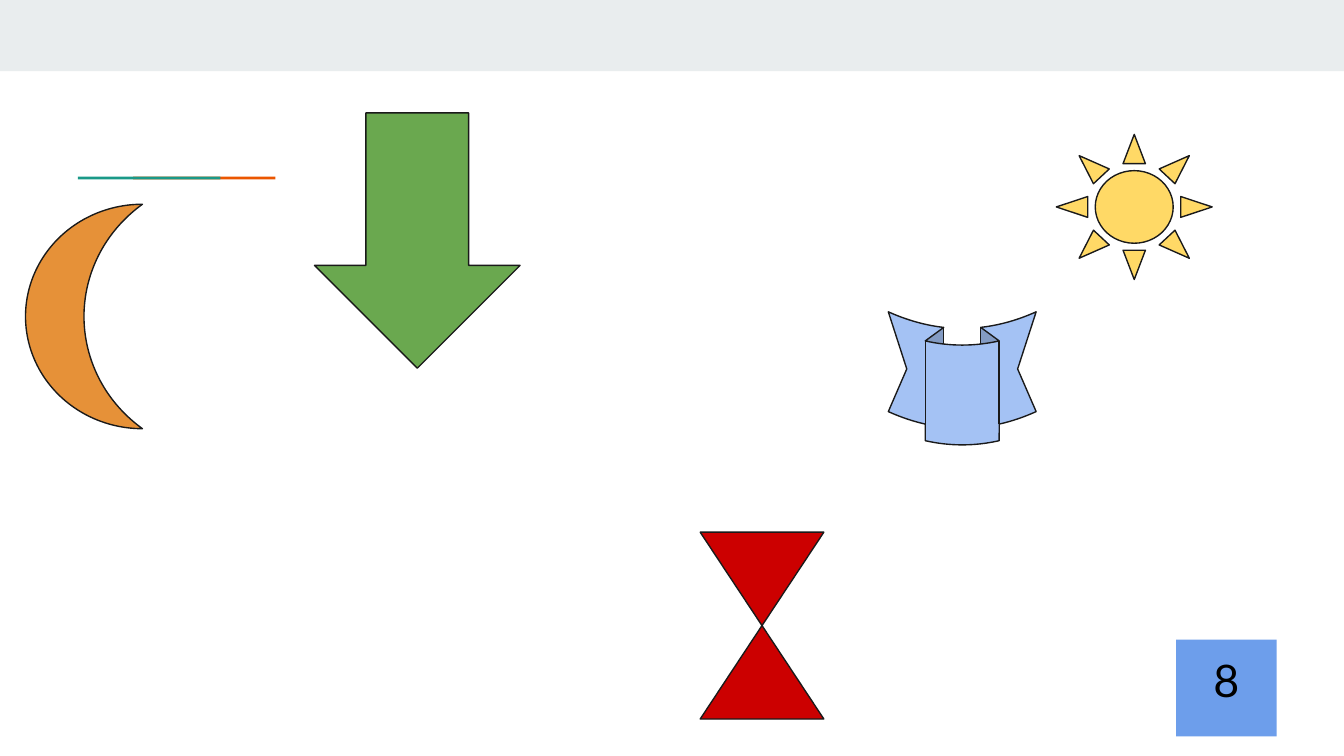
from dataclasses import dataclass
from typing import Optional

from pptx import Presentation
from pptx.dml.color import RGBColor
from pptx.enum.shapes import MSO_SHAPE
from pptx.enum.text import MSO_ANCHOR, PP_ALIGN
from pptx.shapes.autoshape import Shape
from pptx.slide import Slide
from pptx.util import Inches, Pt

RECTANGLE = MSO_SHAPE.RECTANGLE
SUN = MSO_SHAPE.SUN
DOWN_ARROW = MSO_SHAPE.DOWN_ARROW
RIBBON = MSO_SHAPE.CURVED_DOWN_RIBBON
MOON = MSO_SHAPE.MOON
HOURGLASS = MSO_SHAPE.FLOWCHART_COLLATE
TOP = MSO_ANCHOR.TOP
CENTER = PP_ALIGN.CENTER

SLIDE_WIDTH = Inches(10)
SLIDE_HEIGHT = SLIDE_WIDTH * 9 // 16
COLUMNS = 100
CELL = SLIDE_WIDTH / COLUMNS
BLANK_LAYOUT = 6


@dataclass(frozen=True)
class Theme:
    font: str = "Lato"
    number_size: float = 24
    outline_width: float = 0.75
    inset: float = 0.1
    text: str = "000000"
    outline: str = "1A1A1A"
    band: str = "E9EDEE"
    orange: str = "EB5600"
    teal: str = "1A9988"
    yellow: str = "FFD966"
    green: str = "6AA84F"
    pale_blue: str = "A4C2F4"
    amber: str = "E69138"
    red: str = "CC0000"
    blue: str = "6D9EEB"


@dataclass(frozen=True)
class Figure:
    kind: MSO_SHAPE
    column: float
    row: float
    columns: float
    rows: float
    fill: str
    outline: Optional[str] = None
    adjustments: tuple[float, ...] = ()


THEME = Theme()
ACCENT_ROW, ACCENT_COLUMNS, ACCENT_ROWS = 13.15, 10.6, 0.2

FIGURES = (
    Figure(RECTANGLE, 0, 0, COLUMNS, 5.3, THEME.band),
    Figure(RECTANGLE, 9.9, ACCENT_ROW, ACCENT_COLUMNS, ACCENT_ROWS, THEME.orange),
    Figure(RECTANGLE, 5.8, ACCENT_ROW, ACCENT_COLUMNS, ACCENT_ROWS, THEME.teal),
    Figure(SUN, 78.6, 10, 11.6, 10.8, THEME.yellow, THEME.outline, (0.25,)),
    Figure(DOWN_ARROW, 23.4, 8.4, 15.3, 19, THEME.green, THEME.outline, (0.5, 0.5)),
    Figure(RIBBON, 66.1, 23.2, 11, 9.9, THEME.pale_blue, THEME.outline, (0.25, 0.5, 0.125)),
    Figure(MOON, 1.9, 15.2, 8.7, 16.7, THEME.amber, THEME.outline, (0.5,)),
    Figure(HOURGLASS, 52.1, 39.6, 9.2, 13.9, THEME.red, THEME.outline),
)
NUMBER_BOX = Figure(RECTANGLE, 87.5, 47.6, 7.5, 7.2, THEME.blue)


def cells(count: float) -> int:
    return round(count * CELL)


def draw_figure(page: Slide, figure: Figure) -> Shape:
    shape = page.shapes.add_shape(
        figure.kind,
        cells(figure.column),
        cells(figure.row),
        cells(figure.columns),
        cells(figure.rows),
    )
    shape.shadow.inherit = False
    shape.fill.solid()
    shape.fill.fore_color.rgb = RGBColor.from_string(figure.fill)
    if figure.outline:
        shape.line.color.rgb = RGBColor.from_string(figure.outline)
        shape.line.width = Pt(THEME.outline_width)
    else:
        shape.line.fill.background()
    for index, value in enumerate(figure.adjustments):
        shape.adjustments[index] = value
    return shape


def write_number(box: Shape, number: str) -> None:
    frame = box.text_frame
    frame.word_wrap = True
    frame.vertical_anchor = TOP
    inset = Inches(THEME.inset)
    frame.margin_left = frame.margin_right = inset
    frame.margin_top = frame.margin_bottom = inset
    para = frame.paragraphs[0]
    para.alignment = CENTER
    span = para.add_run()
    span.text = number
    span.font.name = THEME.font
    span.font.size = Pt(THEME.number_size)
    span.font.color.rgb = RGBColor.from_string(THEME.text)


def main() -> None:
    deck = Presentation()
    deck.slide_width = SLIDE_WIDTH
    deck.slide_height = SLIDE_HEIGHT
    page = deck.slides.add_slide(deck.slide_layouts[BLANK_LAYOUT])
    for figure in FIGURES:
        draw_figure(page, figure)
    write_number(draw_figure(page, NUMBER_BOX), "8")
    deck.save("out.pptx")


if __name__ == "__main__":
    main()
